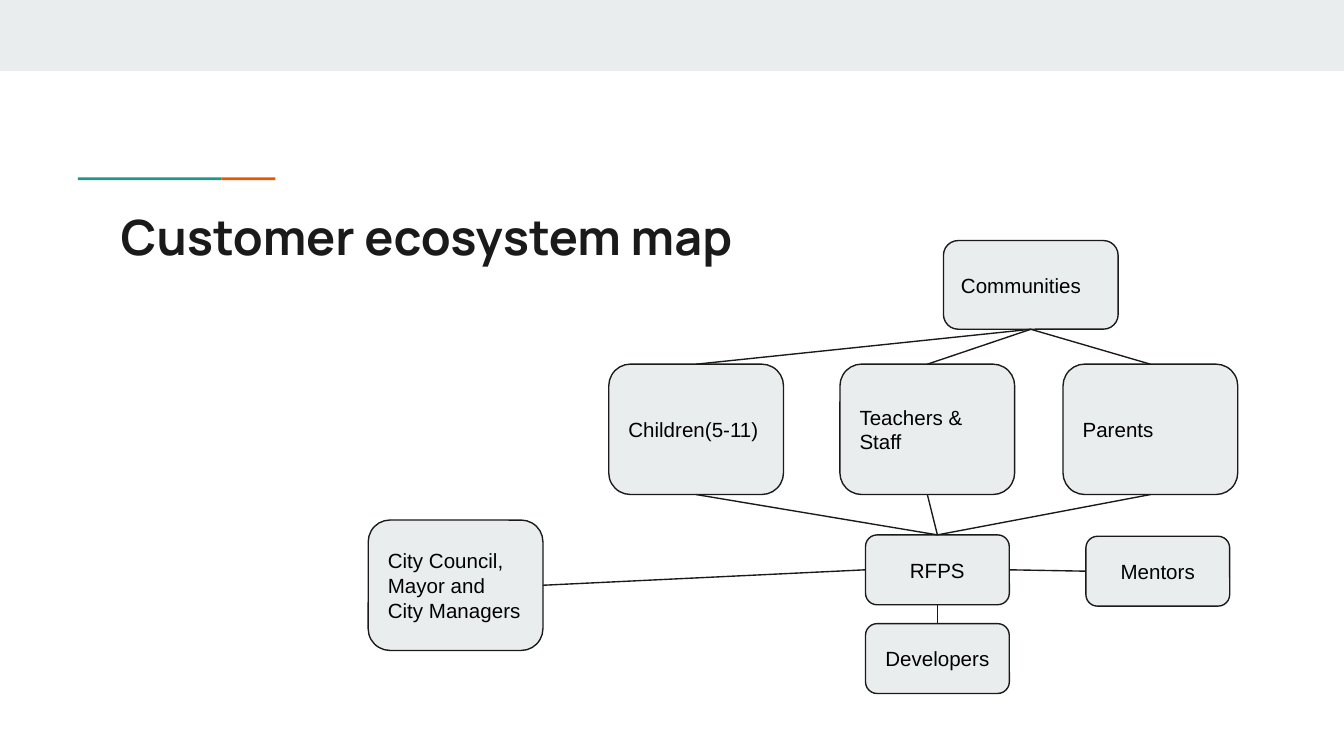
from pptx import Presentation
from pptx.dml.color import RGBColor
from pptx.enum.shapes import MSO_CONNECTOR, MSO_SHAPE
from pptx.enum.text import MSO_ANCHOR, PP_ALIGN
from pptx.oxml.ns import qn
from pptx.util import Inches, Pt
from lxml import etree

RECT, NODE = MSO_SHAPE.RECTANGLE, MSO_SHAPE.FLOWCHART_ALTERNATE_PROCESS
STRAIGHT = MSO_CONNECTOR.STRAIGHT
LEFT, CENTER = PP_ALIGN.LEFT, PP_ALIGN.CENTER
TOP_ANCHOR, MIDDLE = MSO_ANCHOR.TOP, MSO_ANCHOR.MIDDLE
TOP, WEST, BOTTOM, EAST = range(4)  # connection sites

PALE = RGBColor(0xE9, 0xED, 0xEE)
INK = RGBColor(0x1A, 0x1A, 0x1A)
BLACK = RGBColor(0, 0, 0)
TEAL = RGBColor(0x1A, 0x99, 0x88)
ORANGE = RGBColor(0xEB, 0x56, 0x00)

# Node sizes, and nodes as (text, x, y, size, alignment) within the map
WIDE, TALL, SMALL = (1.3, 0.66), (1.3, 0.97), (1.07, 0.52)
NODES = [
    ("Communities", 4.28, 0, WIDE, LEFT),
    ("Children(5-11)", 1.79, 0.92, TALL, LEFT),
    ("Teachers &\nStaff", 3.51, 0.92, TALL, LEFT),
    ("Parents", 5.17, 0.92, TALL, LEFT),
    ("City Council, Mayor and City Managers", 0, 2.08, TALL, LEFT),
    ("RFPS", 3.7, 2.19, SMALL, CENTER),
    ("Mentors", 5.34, 2.2, SMALL, CENTER),
    ("Developers", 3.7, 2.85, SMALL, CENTER),
]


def write(s, text, size=11, font="Arial", color=BLACK, bold=False,
          align=LEFT, anchor=MIDDLE):
    tf = s.text_frame
    tf.word_wrap = True
    tf.vertical_anchor = anchor
    tf.margin_left = tf.margin_right = Inches(0.1)
    tf.margin_top = tf.margin_bottom = Inches(0.1)
    p = tf.paragraphs[0]
    p.text = text
    p.alignment = align
    for r in p.runs:
        r.font.name, r.font.size, r.font.bold = font, Pt(size), bold
        r.font.color.rgb = color


def add_box(slide, kind, x, y, w, h, fill, line=None):
    s = slide.shapes.add_shape(kind, Inches(x), Inches(y), Inches(w), Inches(h))
    s.shadow.inherit = False
    s.fill.solid()
    s.fill.fore_color.rgb = fill
    if line is None:
        s.line.fill.background()
    else:
        s.line.color.rgb = line
        s.line.width = Pt(0.75)
    return s


def join(slide, start, start_site, end, end_site):
    c = slide.shapes.add_connector(STRAIGHT, 0, 0, 0, 0)
    c.begin_connect(start, start_site)
    c.end_connect(end, end_site)
    c.line.color.rgb = INK
    c.line.width = Pt(0.75)
    etree.SubElement(c._element.spPr, qn("a:effectLst"))


def add_header(slide, x, y, w, h):
    # Top band, two-colour accent rule, title
    add_box(slide, RECT, x, y, w, h, PALE)
    add_box(slide, RECT, x + 0.58, y + 1.32, 1.07, 0.02, TEAL)
    add_box(slide, RECT, x + 1.65, y + 1.32, 0.4, 0.02, ORANGE)
    title = slide.shapes.add_textbox(Inches(x + 0.8), Inches(y + 1.44),
                                     Inches(8.41), Inches(0.59))
    write(title, "Customer ecosystem map", size=26, font="Manrope",
          color=INK, bold=True, anchor=TOP_ANCHOR)


def add_ecosystem_map(slide, x, y):
    # Nodes
    nodes = []
    for text, dx, dy, (w, h), align in NODES:
        s = add_box(slide, NODE, x + dx, y + dy, w, h, PALE, INK)
        write(s, text, align=align)
        nodes.append(s)
    communities, *audiences, council, rfps, mentors, developers = nodes

    # Links
    for s in audiences:
        join(slide, s, TOP, communities, BOTTOM)
        join(slide, s, BOTTOM, rfps, TOP)
    join(slide, council, EAST, rfps, WEST)
    join(slide, rfps, EAST, mentors, WEST)
    join(slide, developers, TOP, rfps, BOTTOM)


def main():
    prs = Presentation()
    prs.slide_width = Inches(10)
    prs.slide_height = prs.slide_width * 9 // 16
    slide = prs.slides.add_slide(prs.slide_layouts[6])
    add_header(slide, 0, 0, 10, 0.53)
    add_ecosystem_map(slide, 2.74, 1.79)
    prs.save("out.pptx")


if __name__ == "__main__":
    main()
